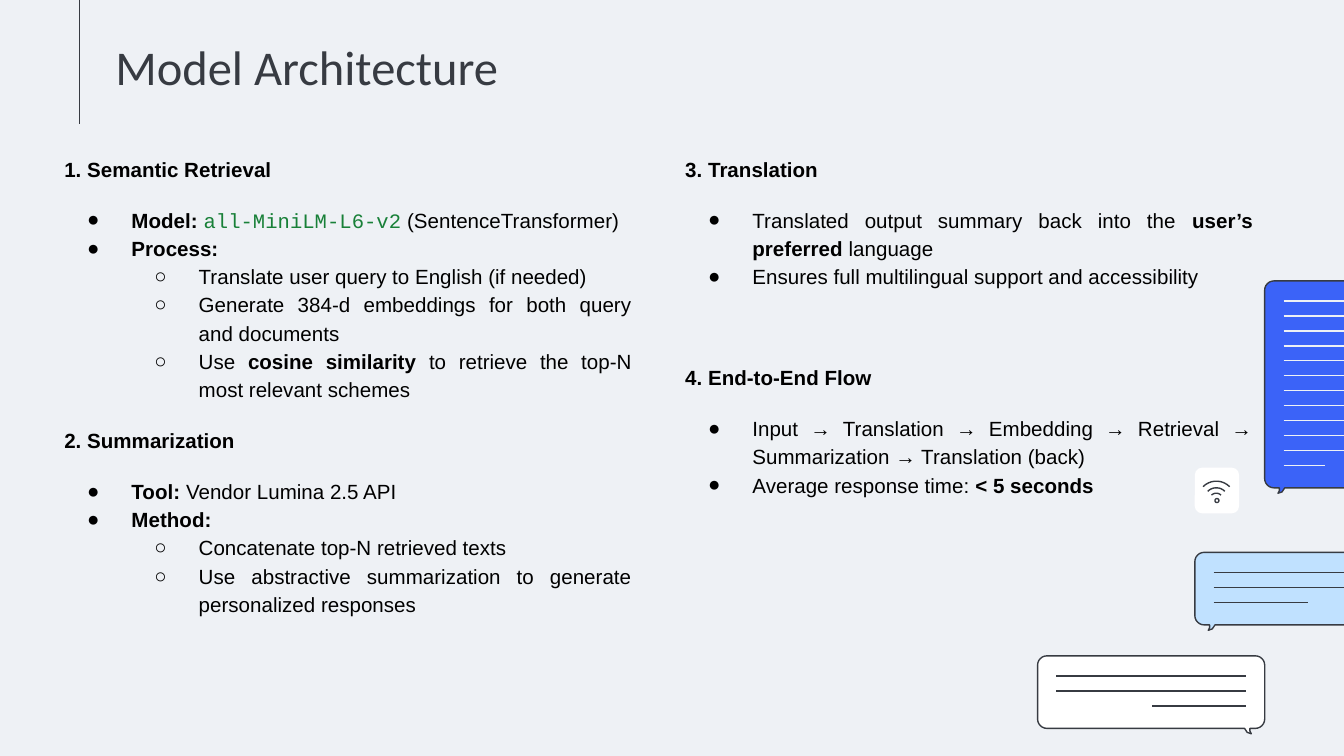
from dataclasses import dataclass
from math import cos, radians, sin
from typing import NamedTuple

from lxml.etree import SubElement
from pptx import Presentation
from pptx.dml.color import RGBColor
from pptx.enum.shapes import MSO_CONNECTOR as CONN, MSO_SHAPE as SHAPE
from pptx.enum.text import MSO_ANCHOR as ANCHOR, PP_ALIGN as ALIGN
from pptx.oxml.ns import qn
from pptx.util import Inches, Pt

SLIDE_WIDTH = 10
SLIDE_HEIGHT = SLIDE_WIDTH * 9 / 16
INK = "373B42"
PAPER = "EEF1F5"
WHITE = "FFFFFF"
BLACK = "000000"
ROW_STEP = 1 / 9
ROW_INSET = 0.14
CORNER = 0.07
BULLETS = "●○"

Point = tuple[float, float]


class Run(NamedTuple):
    text: str
    bold: bool = False
    font: str = "Arial"
    color: str = BLACK


@dataclass
class Para:
    runs: list[Run]
    level: int = 0
    before: float = 0


@dataclass
class Bubble:
    x: float
    y: float
    w: float
    h: float
    fill: str
    row_color: str
    rows: int
    last_row: float
    mirrored: bool = False


BUBBLES = [
    Bubble(7.72, 4.88, 1.69, 0.54, WHITE, INK, 3, 0.7, True),
    Bubble(9.41, 2.09, 0.96, 1.54, "3B63F8", PAPER, 12, 0.31),
    Bubble(8.89, 4.11, 1.69, 0.54, "C0E1FF", INK, 3, 0.7),
]


def heading(text: str, before: float = 12) -> Para:
    return Para([Run(text, True)], 0, before)


def bullet(*runs: Run, level: int = 1, before: float = 0) -> Para:
    return Para(list(runs), level, before)


LEFT_TEXT = [
    heading("1. Semantic Retrieval"),
    bullet(Run("Model: ", True), Run("all-MiniLM-L6-v2", False, "Courier New", "188038"),
           Run(" (SentenceTransformer)"), before=12),
    bullet(Run("Process:", True)),
    bullet(Run("Translate user query to English (if needed)"), level=2),
    bullet(Run("Generate 384-d embeddings for both query and documents"), level=2),
    bullet(Run("Use "), Run("cosine similarity", True),
           Run(" to retrieve the top-N most relevant schemes"), level=2),
    heading("2. Summarization"),
    bullet(Run("Tool:", True), Run(" Vendor Lumina 2.5 API"), before=12),
    bullet(Run("Method:", True)),
    bullet(Run("Concatenate top-N retrieved texts"), level=2),
    bullet(Run("Use abstractive summarization to generate personalized responses"), level=2),
]

RIGHT_TEXT = [
    heading("3. Translation"),
    bullet(Run("Translated output summary back into the "), Run("user’s preferred ", True),
           Run("language"), before=12),
    bullet(Run("Ensures full multilingual support and accessibility")),
    heading("4. End-to-End Flow", 39),
    bullet(Run("Input → Translation → Embedding → Retrieval → Summarization → Translation (back)"),
           before=12),
    bullet(Run("Average response time: "), Run("< 5 seconds", True)),
]


def rgb(color: str) -> RGBColor:
    return RGBColor.from_string(color)


def style(sp, fill: str | None, line: str | None) -> None:
    sp.shadow.inherit = False
    if fill:
        sp.fill.solid()
        sp.fill.fore_color.rgb = rgb(fill)
    else:
        sp.fill.background()
    if line:
        sp.line.color.rgb = rgb(line)
        sp.line.width = Pt(0.75)
    else:
        sp.line.fill.background()


def add_line(s, start: Point, end: Point, color: str) -> None:
    c = s.shapes.add_connector(CONN.STRAIGHT, *map(Inches, start + end))
    c.line.color.rgb = rgb(color)
    c.line.width = Pt(0.75)
    SubElement(c._element.spPr, qn("a:effectLst"))


def add_outline(s, points: list[Point], fill: str | None, close: bool) -> None:
    scaled = [(Inches(x), Inches(y)) for x, y in points]
    builder = s.shapes.build_freeform(*scaled[0])
    builder.add_line_segments(scaled[1:], close=close)
    style(builder.convert_to_shape(), fill, INK)


def arc(cx: float, cy: float, radius: float, start: int, end: int, step: int) -> list[Point]:
    return [(cx + radius * cos(radians(a)), cy + radius * sin(radians(a)))
            for a in range(start, end + 1, step)]


def add_bubble(s, b: Bubble) -> None:
    right, bottom = b.w - CORNER, b.h - CORNER
    corners = [(CORNER, CORNER, 180), (right, CORNER, 270), (right, bottom, 0), (CORNER, bottom, 90)]
    outline = []
    for cx, cy, angle in corners:
        if angle == 90:
            tail = [(0.15, 0), (0.13, 0.03), (0.1, 0.04), (0.11, 0.02), (0.11, 0)]
            outline += [(x, b.h + y) for x, y in tail]
        outline += arc(cx, cy, CORNER, angle, angle + 90, 15)

    def place(x: float, y: float) -> Point:
        return b.x + (b.w - x if b.mirrored else x), b.y + y

    add_outline(s, [place(x, y) for x, y in outline], b.fill, True)
    for i in range(b.rows):
        length = b.last_row if i == b.rows - 1 else b.w - 2 * ROW_INSET
        y = 0.15 + i * ROW_STEP
        add_line(s, place(ROW_INSET, y), place(ROW_INSET + length, y), b.row_color)


def add_wifi(s) -> None:
    card = s.shapes.add_shape(SHAPE.ROUNDED_RECTANGLE, *map(Inches, (8.89, 3.48, 0.33, 0.34)))
    style(card, WHITE, None)
    cx, cy = 9.05, 3.72
    for radius in (0.14, 0.09, 0.05):
        add_outline(s, arc(cx, cy, radius, 225, 315, 10), None, False)
    dot = s.shapes.add_shape(SHAPE.OVAL, *map(Inches, (cx - 0.01, cy - 0.01, 0.03, 0.03)))
    style(dot, None, INK)


def add_text(s, box: tuple[float, ...], anchor: ANCHOR):
    tf = s.shapes.add_textbox(*map(Inches, box)).text_frame
    tf.word_wrap = True
    tf.vertical_anchor = anchor
    tf.margin_left = tf.margin_right = tf.margin_top = tf.margin_bottom = Inches(0.1)
    return tf


def add_run(p, run: Run, size: float) -> None:
    r = p.add_run()
    r.text = run.text
    r.font.size = Pt(size)
    r.font.bold = run.bold
    r.font.name = run.font
    r.font.color.rgb = rgb(run.color)


def add_column(s, x: float, paras: list[Para]) -> None:
    tf = add_text(s, (x, 1.04, 4.42, 3.94), ANCHOR.TOP)
    for i, para in enumerate(paras):
        p = tf.add_paragraph() if i else tf.paragraphs[0]
        p.alignment = ALIGN.JUSTIFY
        p.line_spacing = 1.15
        p.space_before = Pt(para.before)
        if para.level:
            p.level = para.level - 1
            pPr = p._p.get_or_add_pPr()
            pPr.set("marL", str(Inches(0.5 * para.level)))
            pPr.set("indent", str(Inches(-0.33)))
            SubElement(SubElement(pPr, qn("a:buClr")), qn("a:srgbClr"), val=BLACK)
            SubElement(pPr, qn("a:buFont"), typeface="Arial")
            SubElement(pPr, qn("a:buChar"), char=BULLETS[para.level - 1])
        for run in para.runs:
            add_run(p, run, 11)


def main() -> None:
    prs = Presentation()
    prs.slide_width, prs.slide_height = Inches(SLIDE_WIDTH), Inches(SLIDE_HEIGHT)
    s = prs.slides.add_slide(prs.slide_layouts[6])
    s.background.fill.solid()
    s.background.fill.fore_color.rgb = rgb(PAPER)
    for b in BUBBLES:
        add_bubble(s, b)
    add_line(s, (0.59, 0), (0.59, 0.92), INK)
    add_wifi(s)
    title = add_text(s, (0.76, 0.18, 7, 0.63), ANCHOR.BOTTOM)
    add_run(title.paragraphs[0], Run("Model Architecture", False, "Calibri", INK), 26)
    add_column(s, 0.38, LEFT_TEXT)
    add_column(s, 5, RIGHT_TEXT)
    prs.save("out.pptx")


if __name__ == "__main__":
    main()
